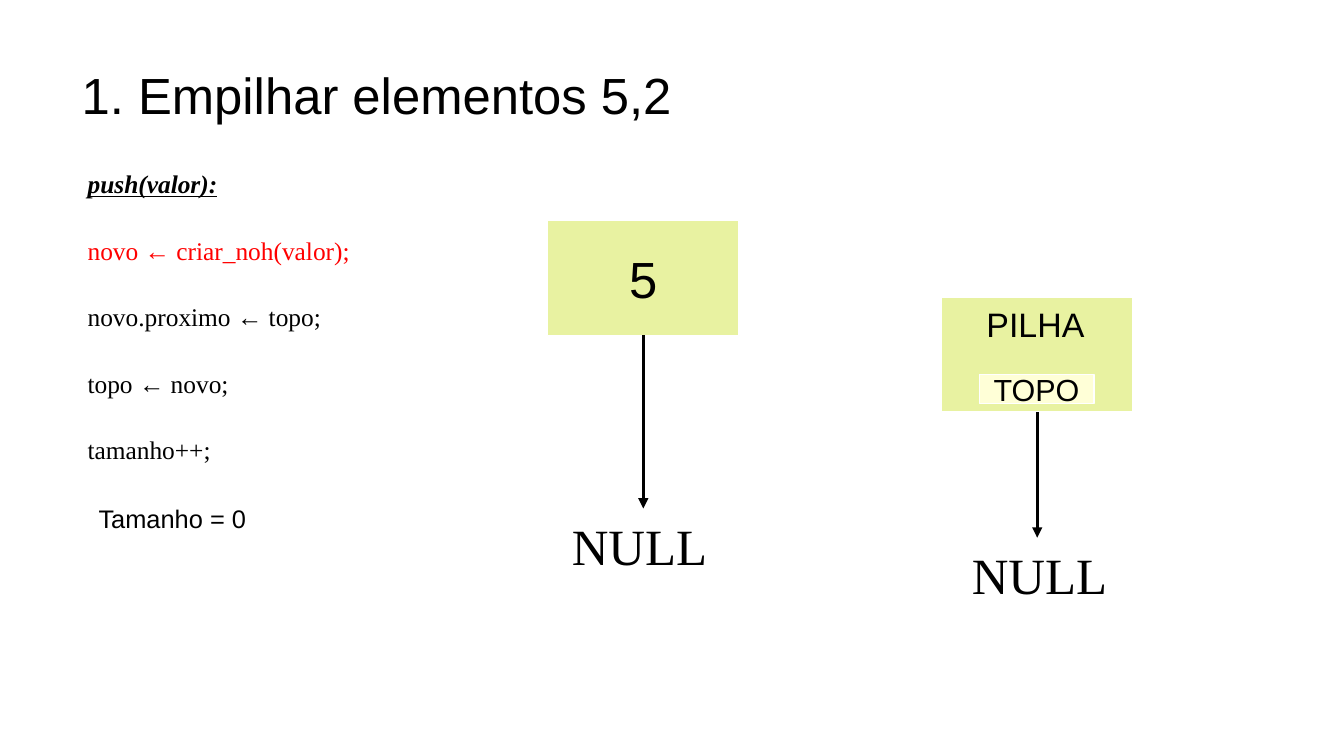
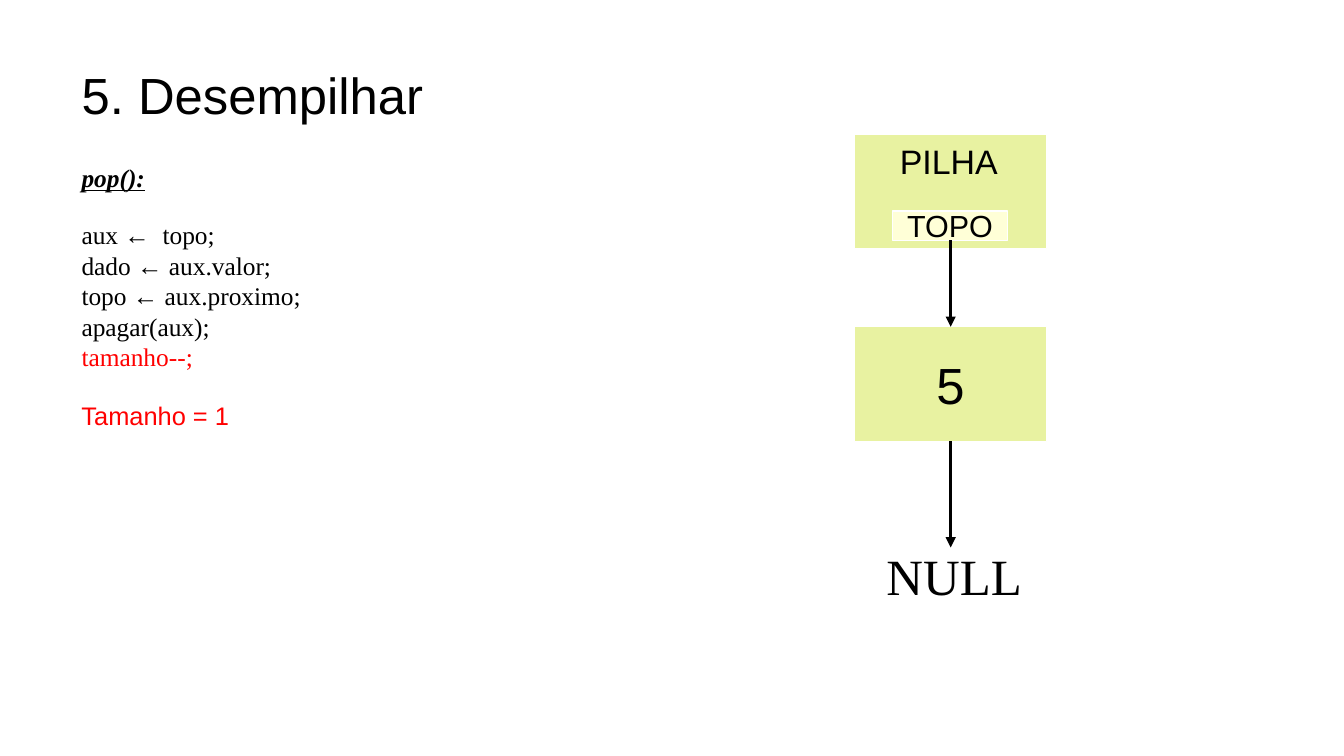
from pptx import Presentation
from pptx.dml.color import RGBColor
from pptx.enum.shapes import MSO_CONNECTOR as CONNECTOR, MSO_SHAPE as SHAPE
from pptx.enum.text import MSO_ANCHOR as ANCHOR, PP_ALIGN as ALIGN
from pptx.oxml.ns import qn
from pptx.util import Inches, Pt
from lxml import etree

SANS, SERIF = "Arial", "Times New Roman"
BLACK, RED, WHITE = "000000", "FF0000", "FFFFFF"
NODE_FILL, FIELD_FILL = "E8F2A1", "FFFFD7"
NODE_W, NODE_H = 1.57, 0.94
FIELD_DX, FIELD_DY, FIELD_W, FIELD_H = 0.31, 0.63, 0.94, 0.24
LABEL_DX = 0.27


def rgb(value):
    return RGBColor.from_string(value)


def style(para, size, font=SANS, color=BLACK):
    for span in para.runs:
        span.font.size = Pt(size)
        span.font.name = font
        span.font.color.rgb = rgb(color)


def add_text(page, box, text, size, font=SANS, color=BLACK):
    label = page.shapes.add_textbox(*map(Inches, box))
    frame = label.text_frame
    frame.word_wrap = True
    frame.text = text
    for para in frame.paragraphs:
        style(para, size, font, color)
    return frame


def add_title(page, text):
    frame = add_text(page, (0.67, 0.25, 9.8, 1.04), text, 30)
    frame.margin_left = frame.margin_right = 0
    frame.margin_top = frame.margin_bottom = 0
    frame.vertical_anchor = ANCHOR.MIDDLE


def add_block(page, box, fill, text="", size=30):
    block = page.shapes.add_shape(SHAPE.RECTANGLE, *map(Inches, box))
    block.shadow.inherit = False
    block.fill.solid()
    block.fill.fore_color.rgb = rgb(fill)
    block.line.color.rgb = rgb(WHITE)
    block.line.width = Pt(0)
    if text:
        frame = block.text_frame
        frame.word_wrap = False
        frame.vertical_anchor = ANCHOR.MIDDLE
        frame.text = text
        para = frame.paragraphs[0]
        para.alignment = ALIGN.CENTER
        style(para, size)


def add_node(page, left, top, value):
    add_block(page, (left, top, NODE_W, NODE_H), NODE_FILL, value)


def add_stack(page, left, top):
    add_block(page, (left, top, NODE_W, NODE_H), NODE_FILL)
    field = (left + FIELD_DX, top + FIELD_DY, FIELD_W, FIELD_H)
    add_block(page, field, FIELD_FILL, "TOPO", 18)
    add_text(page, (left + LABEL_DX, top, 1.02, 0.41), "PILHA", 20)


def add_null(page, left, top):
    add_text(page, (left, top, 1.34, 0.54), "NULL", 30, SERIF)


def add_arrow(page, node_left, start, end):
    """Draw a downward arrow centred on the node that begins at node_left."""
    x = Inches(node_left + NODE_W / 2)
    arrow = page.shapes.add_connector(
        CONNECTOR.STRAIGHT, x, Inches(start), x, Inches(end))
    arrow.line.color.rgb = rgb(BLACK)
    arrow.line.width = Pt(0)
    outline = arrow.line._get_or_add_ln()
    etree.SubElement(outline, qn("a:tailEnd"), type="triangle")
    etree.SubElement(arrow._element.spPr, qn("a:effectLst"))


def add_code(page, box, lines, current, first_gap, line_gap):
    """Write pseudocode with a heading and the current line in red."""
    frame = add_text(page, box, "\n".join(lines), 15, SERIF)
    heading, *steps = frame.paragraphs
    for span in heading.runs:
        span.font.bold = span.font.italic = span.font.underline = True
    for number, para in enumerate(steps, 1):
        para.space_before = Pt(first_gap if number == 1 else line_gap)
        if number == current:
            style(para, 15, SERIF, RED)


def build_push(page):
    add_title(page, "1. Empilhar elementos 5,2")
    add_code(page, (0.62, 1.33, 3, 2.53), [
        "push(valor):",
        "novo ← criar_noh(valor);",
        "novo.proximo ← topo;",
        "topo ← novo;",
        "tamanho++;",
    ], current=1, first_gap=21.3, line_gap=21.3)
    add_text(page, (0.71, 4.08, 1.43, 0.33), "Tamanho = 0", 15)

    node_left, node_top, null_top = 4.49, 1.81, 4.17
    add_node(page, node_left, node_top, "5")
    add_arrow(page, node_left, node_top + NODE_H, null_top)
    add_null(page, 4.59, null_top)

    stack_left, stack_top, null_top = 7.72, 2.44, 4.41
    add_stack(page, stack_left, stack_top)
    add_arrow(page, stack_left, stack_top + NODE_H, null_top)
    add_null(page, 7.87, null_top)


def build_pop(page):
    add_title(page, "5. Desempilhar")
    add_code(page, (0.57, 1.28, 2.81, 2.07), [
        "pop():",
        "aux ←  topo;",
        "dado ← aux.valor;",
        "topo ← aux.proximo;",
        "apagar(aux);",
        "tamanho--;",
    ], current=5, first_gap=16, line_gap=0)
    add_text(page, (0.57, 3.23, 1.43, 0.56), "Tamanho = 1", 15, color=RED)

    left, stack_top, node_top = 7.01, 1.1, 2.68
    add_stack(page, left, stack_top)
    add_node(page, left, node_top, "5")
    add_arrow(page, left, stack_top + FIELD_DY + FIELD_H, node_top)
    add_arrow(page, left, node_top + NODE_H, 4.49)
    add_null(page, 7.17, 4.42)


def main():
    deck = Presentation()
    deck.slide_width, deck.slide_height = Inches(11.02), Inches(6.2)
    for build in (build_push, build_pop):
        build(deck.slides.add_slide(deck.slide_layouts[6]))
    deck.save("out.pptx")


if __name__ == "__main__":
    main()
